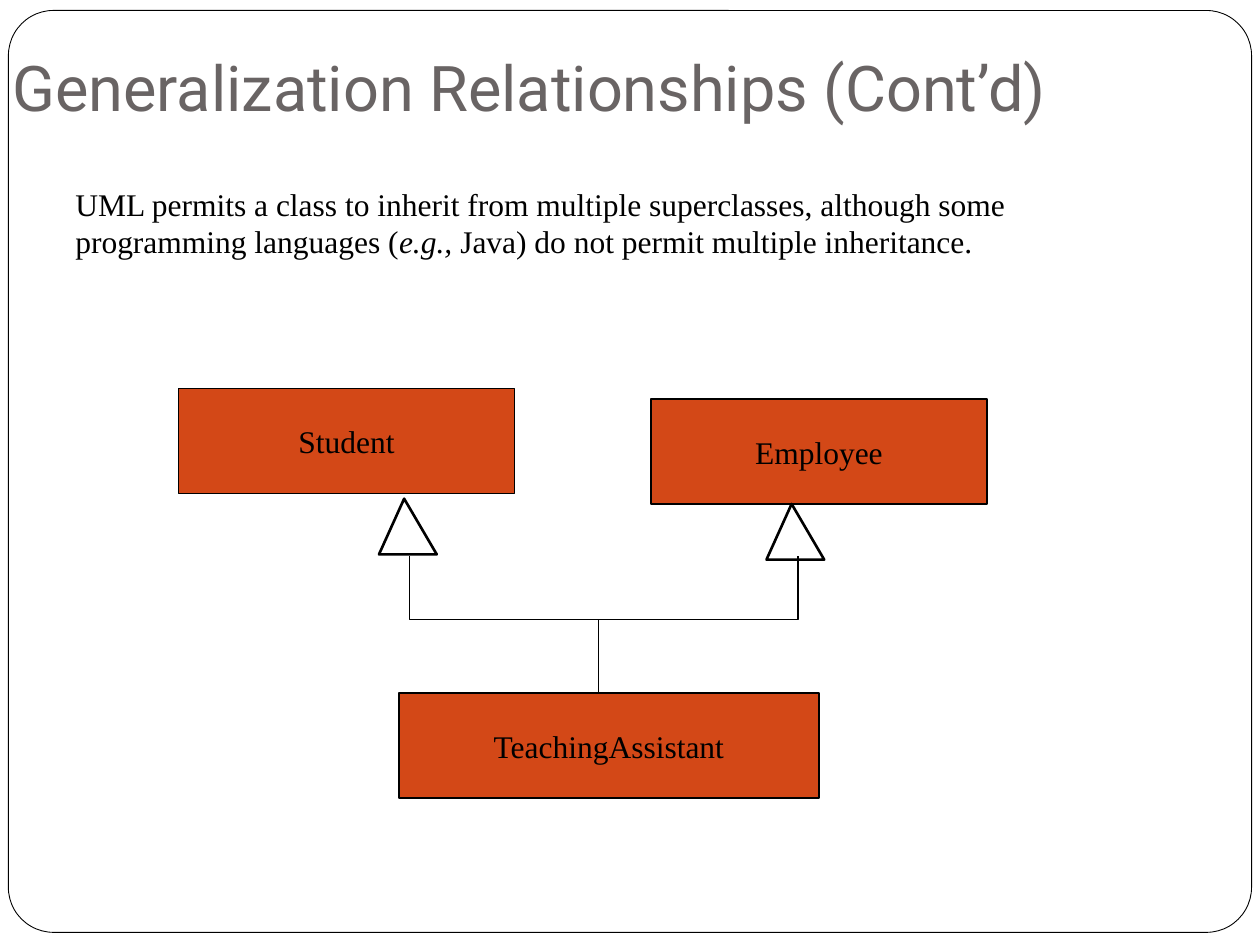
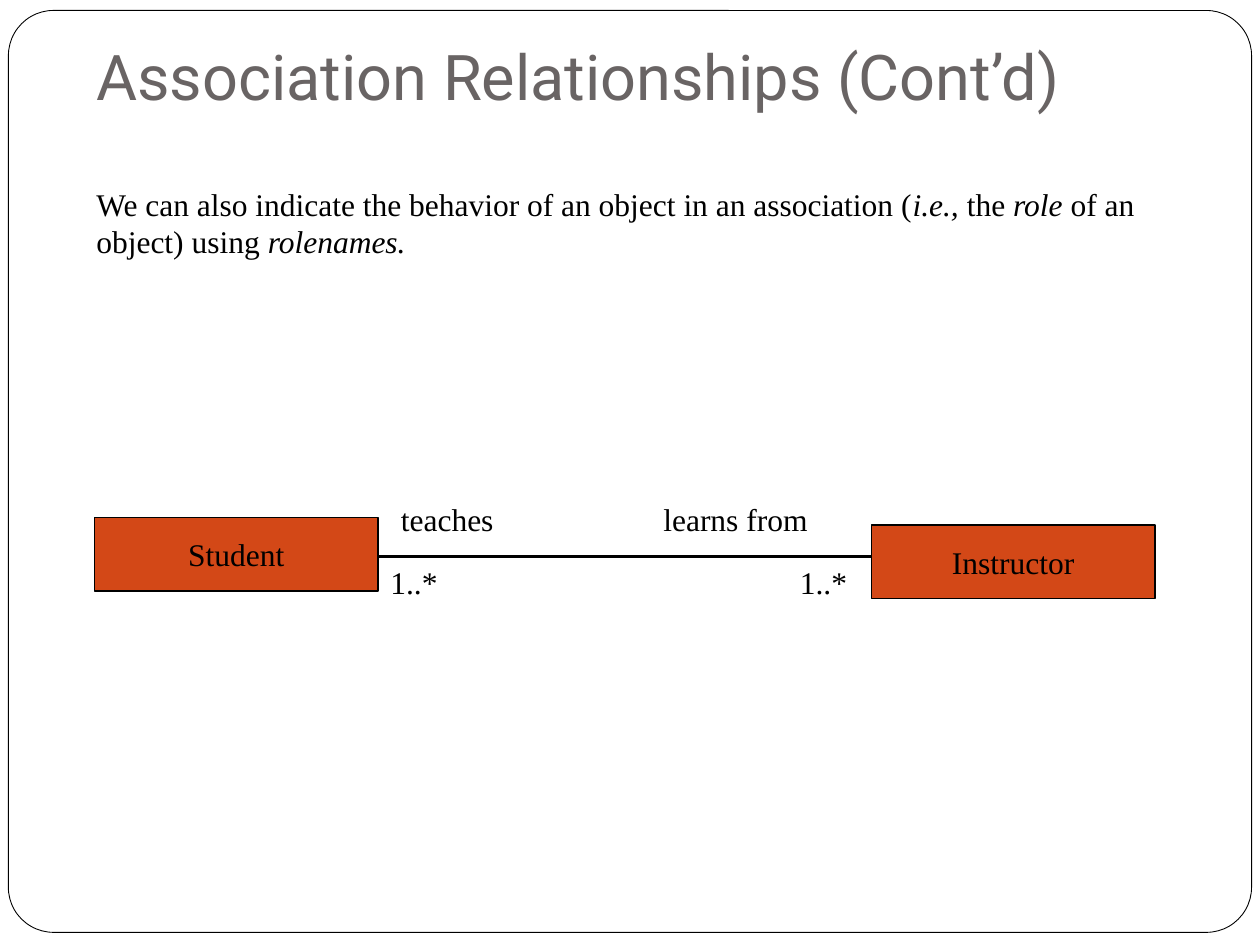
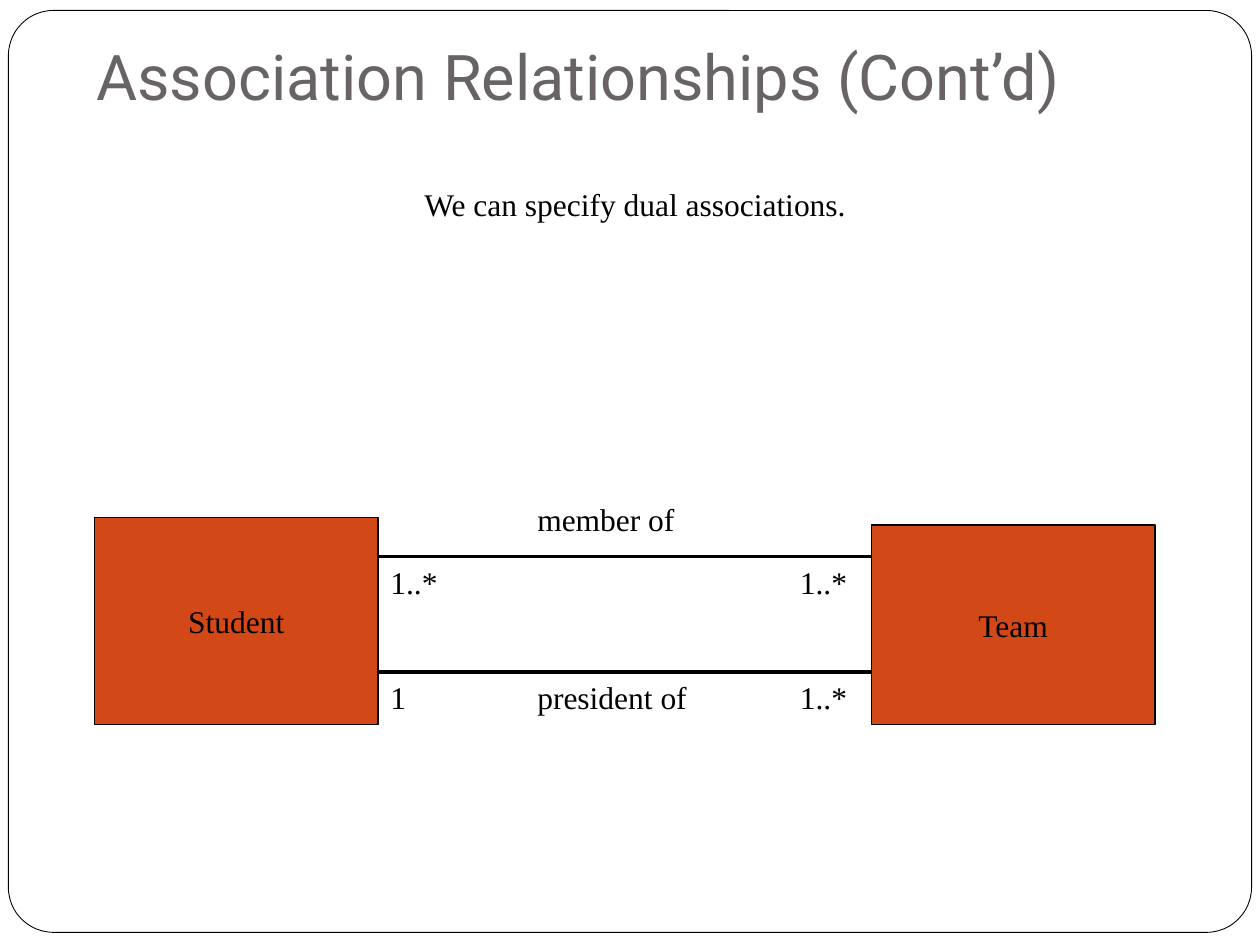
from lxml import etree
from pptx import Presentation
from pptx.dml.color import RGBColor
from pptx.enum.shapes import MSO_CONNECTOR, MSO_SHAPE
from pptx.enum.text import MSO_ANCHOR, MSO_AUTO_SIZE, PP_ALIGN
from pptx.oxml.ns import qn
from pptx.util import Pt

PX = 7620  # EMU per px, 120 px to the inch
WIDTH, HEIGHT = 1200, 900
COLORS = {"paper": "FFFFFF", "ink": "000000", "title": "696464", "class": "D34817"}
TITLE_FONT, BODY_FONT = "Roboto", "Times New Roman"
TITLE_SIZE, BODY_SIZE = 36, 18

RECT, ROUND_RECT = MSO_SHAPE.RECTANGLE, MSO_SHAPE.ROUNDED_RECTANGLE
STRAIGHT = MSO_CONNECTOR.STRAIGHT
LEFT, CENTER = PP_ALIGN.LEFT, PP_ALIGN.CENTER
TOP, MIDDLE, BOTTOM = MSO_ANCHOR.TOP, MSO_ANCHOR.MIDDLE, MSO_ANCHOR.BOTTOM
GROW = MSO_AUTO_SIZE.SHAPE_TO_FIT_TEXT


def emu(*lengths):
    return [length * PX for length in lengths]


def rgb(color):
    return RGBColor.from_string(COLORS[color])


class Deck:
    """Holds the style and the current slide."""

    def __init__(self):
        self.prs = Presentation()
        self.prs.slide_width, self.prs.slide_height = emu(WIDTH, HEIGHT)
        self.slide = None

    def new_slide(self, title, box):
        self.slide = self.prs.slides.add_slide(self.prs.slide_layouts[6])
        frame = self.slide.shapes.add_shape(ROUND_RECT, *emu(8, 10, 1184, 878))
        frame.adjustments[0] = 0.049
        self.paint(frame, "paper", 0.5)
        heading = self.slide.shapes.add_textbox(*emu(*box)).text_frame
        heading.word_wrap = True
        heading.vertical_anchor = BOTTOM
        heading.margin_bottom = 12 * PX
        self.fill_text(heading, [title], LEFT, TITLE_FONT, TITLE_SIZE, "title")

    def paint(self, shape, fill, weight):
        shape.shadow.inherit = False
        if fill:
            shape.fill.solid()
            shape.fill.fore_color.rgb = rgb(fill)
        else:
            shape.fill.background()
        shape.line.color.rgb = rgb("ink")
        shape.line.width = Pt(weight)

    def fill_text(self, frame, pieces, align=LEFT, font=BODY_FONT, size=BODY_SIZE, color="ink"):
        """Sets one paragraph in which every second piece is italic."""
        paragraph = frame.paragraphs[0]
        paragraph.alignment = align
        for index, piece in enumerate(pieces):
            run = paragraph.add_run()
            run.text = piece
            run.font.name, run.font.size = font, Pt(size)
            run.font.color.rgb = rgb(color)
            run.font.italic = index % 2 == 1

    def text(self, box, *pieces, align=LEFT):
        frame = self.slide.shapes.add_textbox(*emu(*box)).text_frame
        frame.word_wrap = True
        frame.auto_size = GROW
        frame.vertical_anchor = TOP
        self.fill_text(frame, pieces, align)

    def class_box(self, name, *box):
        shape = self.slide.shapes.add_shape(RECT, *emu(*box))
        self.paint(shape, "class", 0.75)
        shape.text_frame.word_wrap = False
        shape.text_frame.vertical_anchor = MIDDLE
        self.fill_text(shape.text_frame, [name], CENTER)

    def line(self, start, end, weight):
        connector = self.slide.shapes.add_connector(STRAIGHT, *emu(*start, *end))
        connector.line.color.rgb = rgb("ink")
        connector.line.width = Pt(weight)
        etree.SubElement(connector._element.spPr, qn("a:effectLst"))

    def outline(self, points, weight, fill=None):
        """Draws a closed outline if it has a fill, else an open one."""
        builder = self.slide.shapes.build_freeform(*points[0], scale=PX)
        builder.add_line_segments(points[1:], close=fill is not None)
        self.paint(builder.convert_to_shape(), fill, weight)

    def inheritance_arrow(self, x, y):
        self.outline([(x, y), (x - 24, y + 53), (x + 31, y + 53)], 1.5, "paper")

    def association(self, y, end, left_count, right_count):
        self.line((360, y), (end, y), 2.25)
        self.text((360, y, 90, 60), left_count)
        self.text((750, y, 90, 60), right_count)


def generalization(deck):
    deck.new_slide("Generalization Relationships (Cont’d)", (0, 60, 1220, 70))
    deck.text((60, 170, 1070, 156),
              "UML permits a class to inherit from multiple superclasses, although some "
              "programming languages (", "e.g.,", " Java) do not permit multiple inheritance.")

    # Classes
    deck.class_box("Student", 170, 370, 320, 100)
    deck.class_box("Employee", 620, 380, 320, 100)
    deck.class_box("TeachingAssistant", 380, 660, 400, 100)

    # Tree from the subclass to both superclasses
    deck.line((570, 590), (570, 660), 1)
    deck.inheritance_arrow(385, 475)
    deck.inheritance_arrow(754, 480)
    deck.outline([(390, 530), (390, 590), (760, 590), (760, 530)], 1)


def rolenames(deck):
    deck.new_slide("Association Relationships (Cont’d)", (80, 50, 1080, 70))
    deck.text((80, 170, 1064, 108),
              "We can also indicate the behavior of an object in an association (", "i.e.,",
              " the ", "role ", "of an object) using ", "rolenames.")

    # Association with its roles
    deck.association(530, 840, "1..*", "1..*")
    deck.class_box("Instructor", 830, 500, 270, 70)
    deck.class_box("Student", 90, 493, 270, 70)
    deck.text((370, 470, 150, 60), "teaches")
    deck.text((620, 470, 210, 60), "learns from")


def dual_associations(deck):
    deck.new_slide("Association Relationships (Cont’d)", (80, 50, 1060, 70))
    deck.text((90, 170, 1030, 60), "We can specify dual associations.", align=CENTER)

    # Two associations between the same classes
    deck.association(530, 840, "1..*", "1..*")
    deck.association(640, 830, "1", "1..*")
    deck.class_box("Team", 830, 500, 270, 190)
    deck.class_box("Student", 90, 493, 270, 197)
    deck.text((500, 470, 230, 60), "member of")
    deck.text((500, 640, 230, 60), "president of")


def main():
    deck = Deck()
    generalization(deck)
    rolenames(deck)
    dual_associations(deck)
    deck.prs.save("out.pptx")


if __name__ == "__main__":
    main()
